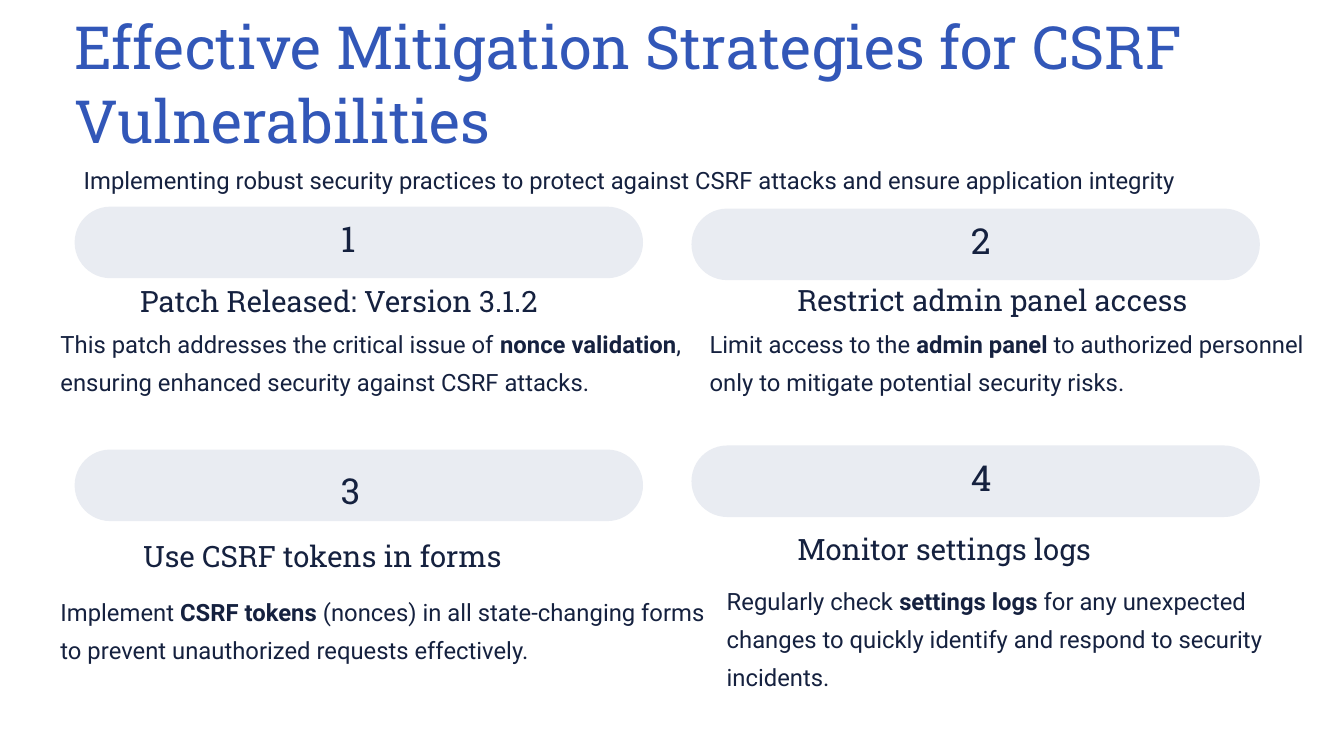
from pptx import Presentation
from pptx.dml.color import RGBColor
from pptx.enum.shapes import MSO_SHAPE as Preset
from pptx.util import Pt

BLUE = RGBColor(0x32, 0x57, 0xB8)
NAVY = RGBColor(0x15, 0x21, 0x3F)
MIST = RGBColor(0xE9, 0xEC, 0xF2)


class SlideBuilder:
    """Holds the slide style and the page being filled."""

    heading_font = "Roboto Slab"
    body_font = "Roboto"

    def __init__(self, page):
        self.page = page

    def text(self, content, left, top, width, height, *, size, leading,
             font=body_font, color=NAVY, wrap=False):
        """Add a text box; every second part between ** marks is bold."""
        box = self.page.shapes.add_textbox(Pt(left), Pt(top), Pt(width), Pt(height))
        frame = box.text_frame
        frame.word_wrap = wrap
        frame.margin_left = frame.margin_right = 0
        frame.margin_top = frame.margin_bottom = 0
        para = frame.paragraphs[0]
        para.line_spacing = Pt(leading)
        for index, part in enumerate(content.split("**")):
            span = para.add_run()
            span.text = part
            span.font.name = font
            span.font.size = Pt(size)
            span.font.bold = index % 2 == 1
            span.font.color.rgb = color

    def pill(self, left, top):
        bar = self.page.shapes.add_shape(
            Preset.ROUNDED_RECTANGLE, Pt(left), Pt(top), Pt(406), Pt(51.1))
        bar.adjustments[0] = 0.5
        bar.shadow.inherit = False
        bar.fill.solid()
        bar.fill.fore_color.rgb = MIST
        bar.line.fill.background()

    def number(self, content, left, top):
        self.text(content, left, top, 26, 31.7, size=25.5, leading=25.5,
                  font=self.heading_font)

    def heading(self, content, left, top, width):
        self.text(content, left, top, width, 26.6, size=21, leading=26.5,
                  font=self.heading_font)

    def body(self, content, left, top, width):
        self.text(content, left, top, width, 54.7, size=17, leading=27, wrap=True)


# Per strategy: pill, number, heading and body, each as its place (and width)
STRATEGIES = [
    ((53.3, 147.6), (243.4, 159.8),
     ("Patch Released: Version 3.1.2", 100.1, 200.9, 287.3),
     ("This patch addresses the critical issue of **nonce validation**, "
      "ensuring enhanced security against CSRF attacks.", 43.2, 229, 476)),
    ((493.9, 149), (693.4, 161.3),
     ("Restrict admin panel access", 569.5, 200.2, 283),
     ("Limit access to the **admin panel** to authorized personnel "
      "only to mitigate potential security risks.", 506.9, 229, 443.5)),
    ((53.3, 321.1), (243.4, 339.8),
     ("Use CSRF tokens in forms", 102.2, 383, 260),
     ("Implement **CSRF tokens** (nonces) in all state-changing forms "
      "to prevent unauthorized requests effectively.", 43.2, 420.5, 476)),
    ((493.9, 318.2), (693.4, 330.5),
     ("Monitor settings logs", 569.5, 378, 213),
     ("Regularly check **settings logs** for any unexpected changes to "
      "quickly identify and respond to security incidents.", 519.1, 412.6, 415.4)),
]


def main():
    deck = Presentation()
    deck.slide_width, deck.slide_height = Pt(960), Pt(540)
    builder = SlideBuilder(deck.slides.add_slide(deck.slide_layouts[6]))

    # Title and subtitle
    builder.text("Effective Mitigation Strategies for CSRF Vulnerabilities",
                 53.3, 5, 1032.5, 106.6, size=42.5, leading=53,
                 font=builder.heading_font, color=BLUE, wrap=True)
    builder.text("Implementing robust security practices to protect against "
                 "CSRF attacks and ensure application integrity",
                 59.8, 111.6, 1032.5, 27.4, size=17, leading=27)

    # Four numbered strategies
    for order, (pill, number, heading, body) in enumerate(STRATEGIES, 1):
        builder.pill(*pill)
        builder.number(str(order), *number)
        builder.heading(*heading)
        builder.body(*body)

    deck.save("out.pptx")


if __name__ == "__main__":
    main()
